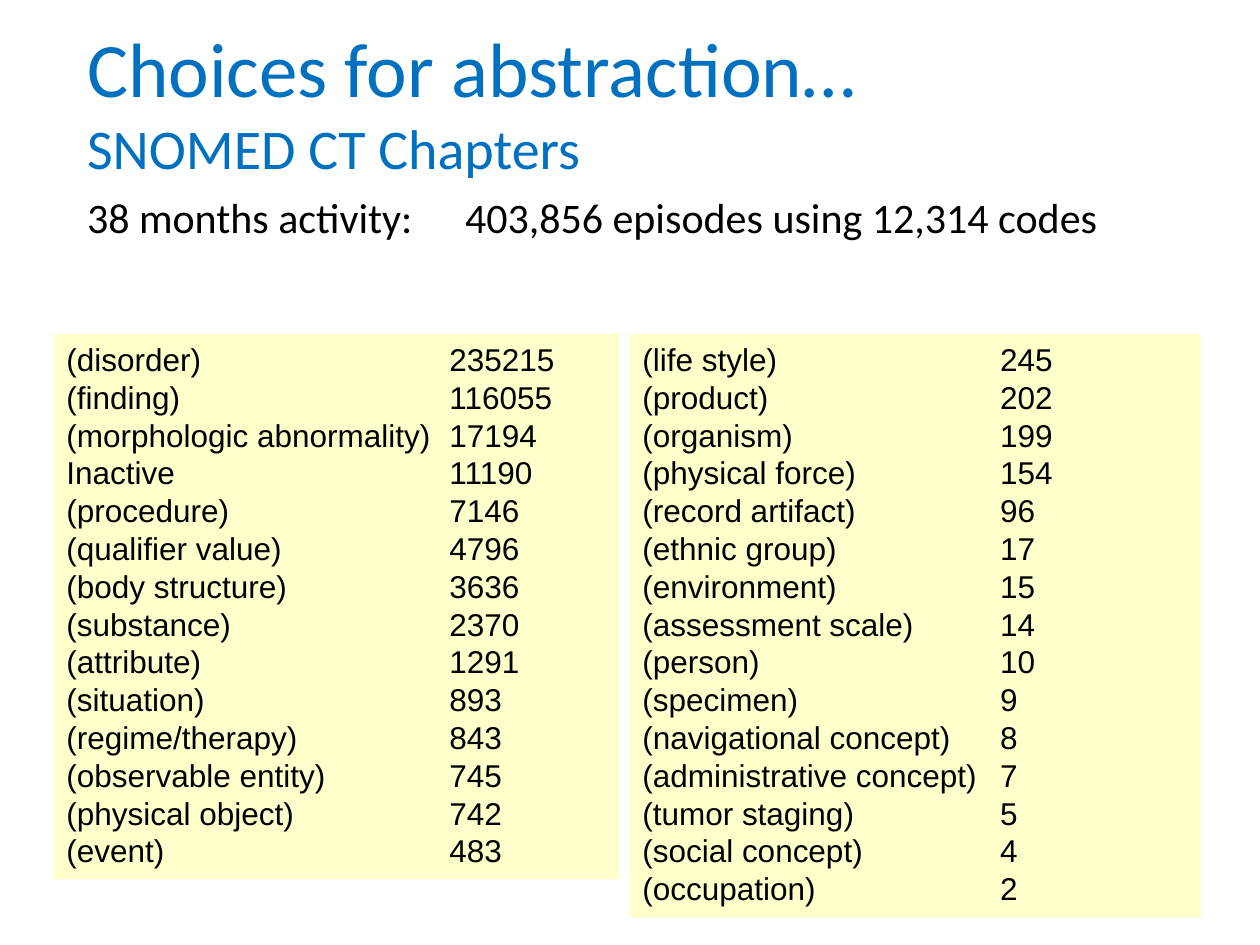
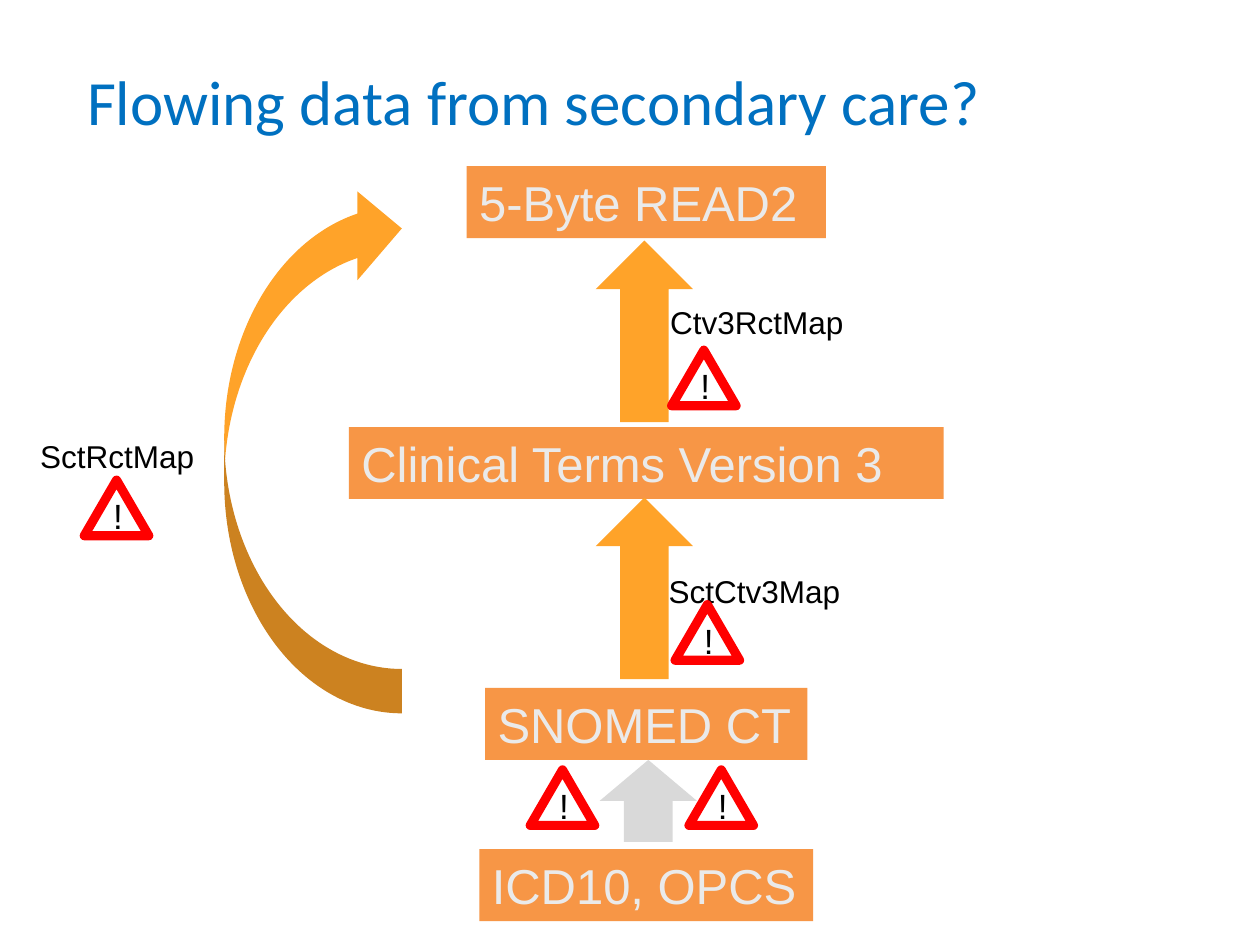
from dataclasses import dataclass

from lxml.etree import SubElement
from pptx import Presentation
from pptx.dml.color import RGBColor
from pptx.enum.shapes import MSO_SHAPE
from pptx.enum.text import MSO_ANCHOR, MSO_AUTO_SIZE, PP_ALIGN
from pptx.oxml import parse_xml
from pptx.oxml.ns import nsdecls, qn
from pptx.util import Cm, Pt


@dataclass(frozen=True)
class Theme:
    heading_font: str = "Calibri"
    body_font: str = "Arial"
    blue: str = "0070C0"
    black: str = "000000"
    white: str = "FFFFFF"
    pale_yellow: str = "FFFFCC"
    orange: str = "F79646"
    amber: str = "FFA329"
    grey: str = "D9D9D9"
    pale_grey: str = "EAEAEA"
    red: str = "FF0000"
    title_size: int = 44
    long_title_size: int = 36
    subtitle_size: int = 32
    summary_size: int = 24
    terminology_size: int = 28
    warning_size: int = 20
    detail_size: int = 18
    warning_line: float = 5.25


THEME = Theme()

# Content; all lengths are in centimetres
TITLE_BOX = (1.5, 0.33, 21.59, 3.4)
SUMMARY_BOX = (1.5, 3.73, 22, 3.4)

CHAPTERS_TITLE = [
    ("Choices for abstraction…", THEME.title_size),
    ("SNOMED CT Chapters", THEME.subtitle_size),
]
SUMMARY = "38 months activity: \t403,856 episodes using 12,314 codes"
COMMON_CHAPTERS = [
    ("(disorder)", 235215), ("(finding)", 116055),
    ("(morphologic abnormality)", 17194), ("Inactive", 11190),
    ("(procedure)", 7146), ("(qualifier value)", 4796),
    ("(body structure)", 3636), ("(substance)", 2370),
    ("(attribute)", 1291), ("(situation)", 893),
    ("(regime/therapy)", 843), ("(observable entity)", 745),
    ("(physical object)", 742), ("(event)", 483),
]
RARE_CHAPTERS = [
    ("(life style)", 245), ("(product)", 202), ("(organism)", 199),
    ("(physical force)", 154), ("(record artifact)", 96),
    ("(ethnic group)", 17), ("(environment)", 15),
    ("(assessment scale)", 14), ("(person)", 10), ("(specimen)", 9),
    ("(navigational concept)", 8), ("(administrative concept)", 7),
    ("(tumor staging)", 5), ("(social concept)", 4), ("(occupation)", 2),
]
# chapters, left, width, tab stop of the counts
PANELS = [
    (RARE_CHAPTERS, 12.7, 11.51, 7.21),
    (COMMON_CHAPTERS, 1.09, 11.4, 7.72),
]
PANEL_TOP, PANEL_ROW, PANEL_PADDING = 6.73, 0.76, 0.36

FLOW_TITLE = [("Flowing data from secondary care?", THEME.long_title_size)]
FLOW_CENTRE, TERMINOLOGY_HEIGHT = 13.03, 1.45
# name, top, width
TERMINOLOGIES = [
    ("5-Byte READ2", 3.35, 7.24),
    ("Clinical Terms Version 3", 8.61, 11.99),
    ("SNOMED CT", 13.87, 6.5),
    ("ICD10, OPCS", 17.12, 6.73),
]
BYPASS_BOX = (4.52, 3.71, 3.58, 10.67)
FLOW_ARROW_WIDTH = 1.96
# centre, top, height, colour
FLOW_ARROWS = [
    (12.99, 4.85, 3.66, THEME.amber),
    (12.99, 10.03, 3.66, THEME.amber),
    (13.07, 15.32, 1.65, THEME.grey),
]
# name, left, top, width
MAPS = [
    ("SctRctMap", 0.56, 8.69, 3.66),
    ("SctCtv3Map", 13.23, 11.4, 4.01),
    ("Ctv3RctMap", 13.26, 5.99, 4.04),
]
MAP_HEIGHT = 1.02
WARNINGS = [(1.7, 9.68), (13.61, 12.19), (13.54, 7.06),
            (10.69, 15.52), (13.89, 15.52)]


def cm(box):
    return [Cm(length) for length in box]


def set_font(font, size, color, name=THEME.body_font):
    font.size, font.name = Pt(size), name
    font.color.rgb = RGBColor.from_string(color)


def write(frame, lines, size, color, name=THEME.body_font):
    """Fill a frame with left-aligned paragraphs in one style."""
    frame.word_wrap = True
    frame.auto_size = MSO_AUTO_SIZE.NONE
    frame.vertical_anchor = MSO_ANCHOR.TOP
    frame.text = "\n".join(lines)
    for paragraph in frame.paragraphs:
        paragraph.alignment = PP_ALIGN.LEFT
        set_font(paragraph.font, size, color, name)


def place(placeholder, box):
    (placeholder.left, placeholder.top,
     placeholder.width, placeholder.height) = cm(box)


def add_title(slide, lines):
    title = slide.shapes.title
    place(title, TITLE_BOX)
    frame = title.text_frame
    frame.auto_size = MSO_AUTO_SIZE.NONE
    frame.vertical_anchor = MSO_ANCHOR.MIDDLE
    paragraph = frame.paragraphs[0]
    paragraph.alignment = PP_ALIGN.LEFT
    for index, (text, size) in enumerate(lines):
        if index:
            paragraph.add_line_break()
        run = paragraph.add_run()
        run.text = text
        set_font(run.font, size, THEME.blue, THEME.heading_font)


def add_filled(slide, preset, box, color):
    shape = slide.shapes.add_shape(preset, *cm(box))
    shape.shadow.inherit = False
    shape.fill.solid()
    shape.fill.fore_color.rgb = RGBColor.from_string(color)
    shape.line.fill.background()
    return shape


def add_label(slide, text, box, size):
    label = slide.shapes.add_textbox(*cm(box))
    write(label.text_frame, [text], size, THEME.black)


def add_panel(slide, chapters, left, width, tab_stop):
    height = len(chapters) * PANEL_ROW + PANEL_PADDING
    panel = add_filled(slide, MSO_SHAPE.RECTANGLE,
                       (left, PANEL_TOP, width, height), THEME.pale_yellow)
    write(panel.text_frame, [f"{name}\t{count}" for name, count in chapters],
          THEME.detail_size, THEME.black)
    for paragraph in panel.text_frame.paragraphs:
        tabs = parse_xml(f'<a:tabLst {nsdecls("a")}>'
                         f'<a:tab pos="{Cm(tab_stop)}" algn="l"/></a:tabLst>')
        paragraph._p.get_or_add_pPr().insert(0, tabs)


def add_warning(slide, left, top):
    sign = add_filled(slide, MSO_SHAPE.ISOSCELES_TRIANGLE,
                      (left, top, 1.3, 1.12), THEME.white)
    sign.line.color.rgb = RGBColor.from_string(THEME.red)
    sign.line.width = Pt(THEME.warning_line)
    SubElement(sign.line._get_or_add_ln(), qn("a:round"))
    add_label(slide, "!", (left + 0.33, top + 0.17, 0.76, 1.12),
              THEME.warning_size)


def build_chapters(deck):
    slide = deck.slides.add_slide(deck.slide_layouts[0])
    add_title(slide, CHAPTERS_TITLE)
    summary = slide.placeholders[1]
    place(summary, SUMMARY_BOX)
    write(summary.text_frame, [SUMMARY], THEME.summary_size, THEME.black,
          THEME.heading_font)
    for panel in PANELS:
        add_panel(slide, *panel)


def build_flow(deck):
    slide = deck.slides.add_slide(deck.slide_layouts[5])
    add_title(slide, FLOW_TITLE)
    for name, top, width in TERMINOLOGIES:
        box = (FLOW_CENTRE - width / 2, top, width, TERMINOLOGY_HEIGHT)
        terminology = add_filled(slide, MSO_SHAPE.RECTANGLE, box, THEME.orange)
        write(terminology.text_frame, [name], THEME.terminology_size,
              THEME.pale_grey)
    bypass = add_filled(slide, MSO_SHAPE.CURVED_LEFT_ARROW, BYPASS_BOX,
                        THEME.amber)
    bypass.rotation = 180
    for centre, top, height, color in FLOW_ARROWS:
        box = (centre - FLOW_ARROW_WIDTH / 2, top, FLOW_ARROW_WIDTH, height)
        add_filled(slide, MSO_SHAPE.UP_ARROW, box, color)
    for name, left, top, width in MAPS:
        add_label(slide, name, (left, top, width, MAP_HEIGHT),
                  THEME.detail_size)
    for left, top in WARNINGS:
        add_warning(slide, left, top)


def main():
    deck = Presentation()
    deck.slide_width, deck.slide_height = Cm(25.4), Cm(19.05)
    build_chapters(deck)
    build_flow(deck)
    deck.save("out.pptx")


if __name__ == "__main__":
    main()
